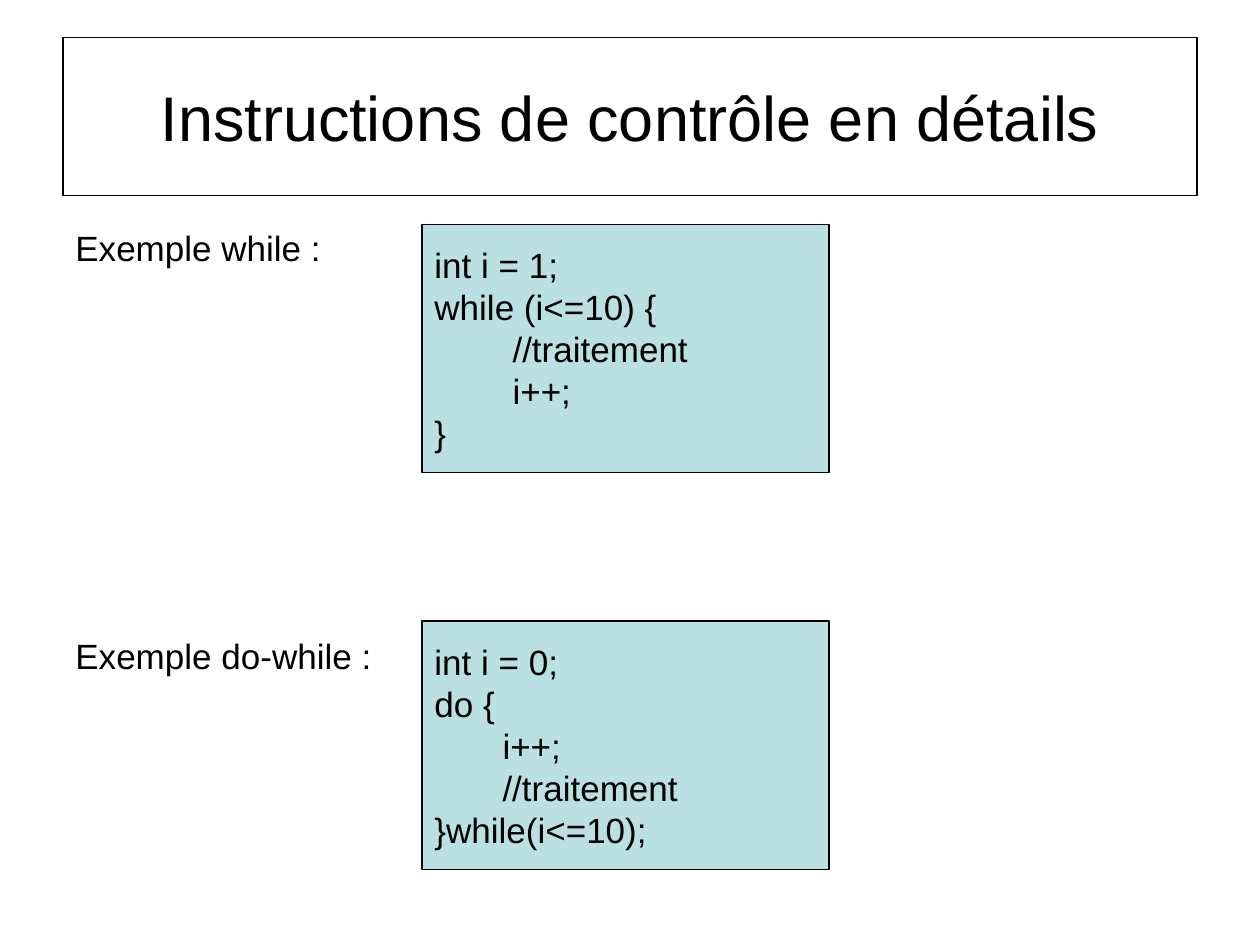
from pptx import Presentation
from pptx.dml.color import RGBColor
from pptx.enum.shapes import MSO_SHAPE
from pptx.enum.text import MSO_ANCHOR, PP_ALIGN
from pptx.util import Inches, Pt

RECTANGLE = MSO_SHAPE.RECTANGLE
MIDDLE = MSO_ANCHOR.MIDDLE
LEFT, CENTER = PP_ALIGN.LEFT, PP_ALIGN.CENTER
BLACK = RGBColor(0x00, 0x00, 0x00)
PALE_TEAL = RGBColor(0xBB, 0xE0, 0xE3)


def write_lines(frame, lines, size, align=LEFT):
    """Fill the frame with one paragraph per (text, left margin in inches)."""
    frame.word_wrap = True
    for number, (text, margin) in enumerate(lines):
        para = frame.paragraphs[0] if number == 0 else frame.add_paragraph()
        para.text = text
        para.alignment = align
        para.font.name = "Arial"
        para.font.size = Pt(size)
        para.font.color.rgb = BLACK
        if margin:
            para._p.get_or_add_pPr().set("marL", str(Inches(margin)))


def add_box(left, top, width, height):
    box = page.shapes.add_shape(
        RECTANGLE, Inches(left), Inches(top), Inches(width), Inches(height))
    box.shadow.inherit = False
    box.line.color.rgb = BLACK
    box.line.width = Pt(0.75)
    box.text_frame.vertical_anchor = MIDDLE
    return box


deck = Presentation()
deck.slide_width = Inches(10)
deck.slide_height = Inches(7.5)
page = deck.slides.add_slide(deck.slide_layouts[6])

labels = page.shapes.add_textbox(Inches(0.5), Inches(1.75), Inches(9), Inches(5.75))
write_lines(labels.text_frame, [("Exemple while :", 0), ("Exemple do-while :", 0)], 20)
labels.text_frame.paragraphs[1].space_before = Pt(209)

title = add_box(0.5, 0.3, 9, 1.25)
title.fill.background()
write_lines(title.text_frame, [("Instructions de contrôle en détails", 0)], 36, CENTER)

WHILE_INDENT, DO_INDENT = 0.62, 0.54
examples = [
    (1.78, [("int i = 1;", 0), ("while (i<=10) {", 0),
            ("//traitement", WHILE_INDENT), ("i++;", WHILE_INDENT), ("}", 0)]),
    (4.93, [("int i = 0;", 0), ("do {", 0),
            ("i++;", DO_INDENT), ("//traitement", DO_INDENT), ("}while(i<=10);", 0)]),
]
for top, code in examples:
    code_box = add_box(3.35, top, 3.23, 1.97)
    code_box.fill.solid()
    code_box.fill.fore_color.rgb = PALE_TEAL
    write_lines(code_box.text_frame, code, 20)

deck.save("out.pptx")
